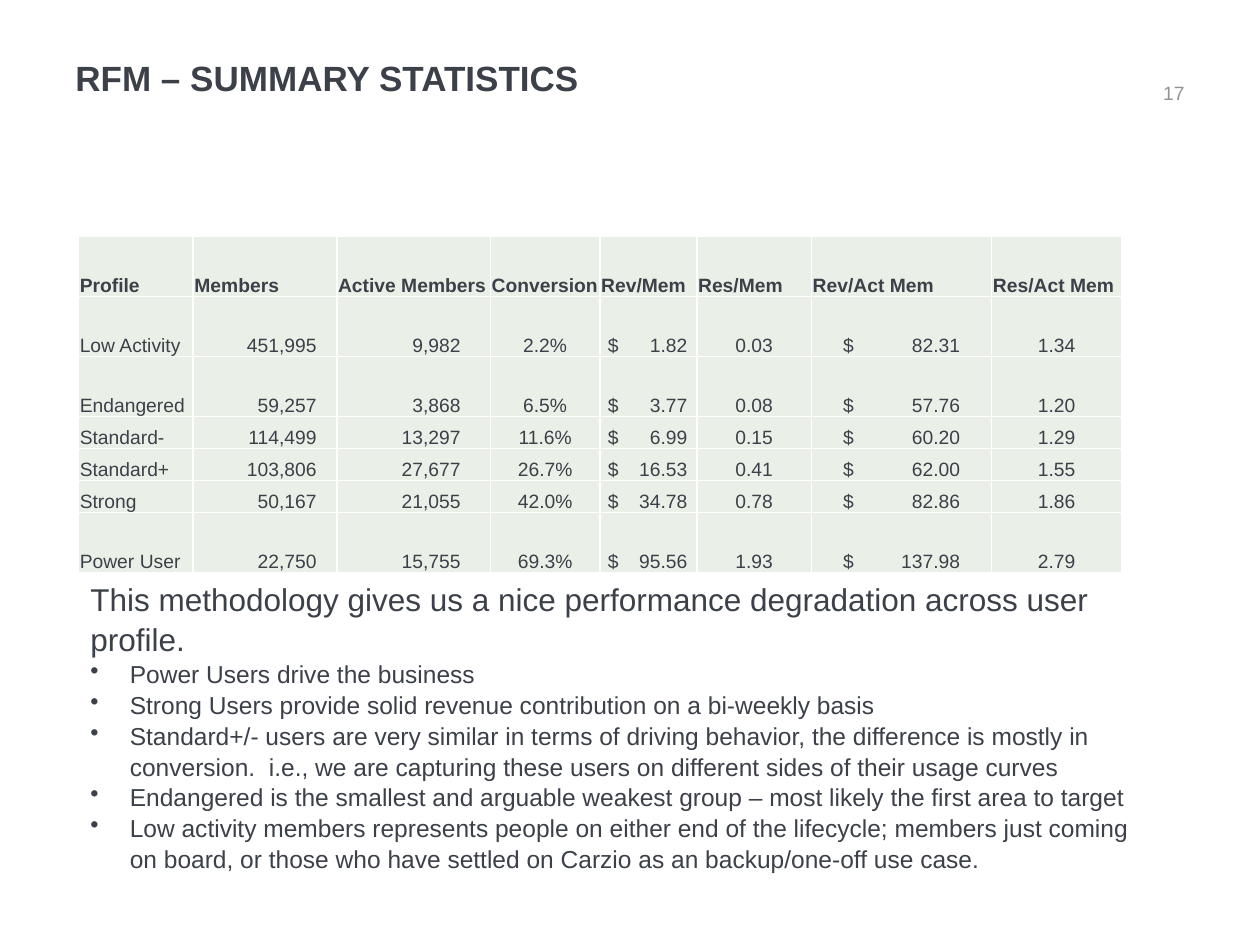
import pptx
import pptx.dml.color
import pptx.enum.text
import pptx.oxml
import pptx.oxml.ns
import pptx.util

Pt = pptx.util.Pt
ALIGN = pptx.enum.text.PP_ALIGN
ANCHOR = pptx.enum.text.MSO_ANCHOR
NS = pptx.oxml.ns.nsdecls("a")
INK = "3C4048"


def color(code):
    return pptx.dml.color.RGBColor.from_string(code)


def style(para, text, size, code=INK, bold=False):
    """Fill one paragraph and set its font."""
    para.text = text
    para.font.name = "Arial"
    para.font.size = Pt(size)
    para.font.bold = bold
    para.font.color.rgb = color(code)


deck = pptx.Presentation()
deck.slide_width, deck.slide_height = Pt(720), Pt(540)
slide = deck.slides.add_slide(deck.slide_layouts[6])

# Title and page number
for text, box, size, code, bold, align in [
    ("RFM – SUMMARY STATISTICS", (36, 9.4, 559.4, 50.4), 20, INK, True, ALIGN.LEFT),
    ("17", (653, 34.6, 31, 28.8), 11, "929395", False, ALIGN.RIGHT),
]:
    frame = slide.shapes.add_textbox(*map(Pt, box)).text_frame
    frame.word_wrap = True
    frame.vertical_anchor = ANCHOR.BOTTOM
    style(frame.paragraphs[0], text, size, code, bold)
    frame.paragraphs[0].alignment = align

# Statistics table
rows = [
    ("Profile", "Members", "Active Members", "Conversion", "Rev/Mem", "Res/Mem",
     "Rev/Act Mem", "Res/Act Mem"),
    ("Low Activity", "451,995", "9,982", "2.2%", "$\t1.82", "0.03", "$\t82.31", "1.34"),
    ("Endangered", "59,257", "3,868", "6.5%", "$\t3.77", "0.08", "$\t57.76", "1.20"),
    ("Standard-", "114,499", "13,297", "11.6%", "$\t6.99", "0.15", "$\t60.20", "1.29"),
    ("Standard+", "103,806", "27,677", "26.7%", "$\t16.53", "0.41", "$\t62.00", "1.55"),
    ("Strong", "50,167", "21,055", "42.0%", "$\t34.78", "0.78", "$\t82.86", "1.86"),
    ("Power User", "22,750", "15,755", "69.3%", "$\t95.56", "1.93", "$\t137.98", "2.79"),
]
widths = [65.5, 82.1, 87.8, 62.6, 55.4, 65.5, 103, 74.2]
heights = [34.3, 34.3, 34.3, 18.3, 18.3, 18.3, 34.3]
# Per column: alignment, left margin, right margin, right tab stop
plain = (ALIGN.CENTER, 0.7, 0.7, None)
rules = [
    (ALIGN.LEFT, 0.7, 0.7, None),
    (ALIGN.RIGHT, 0.7, 11.5, None),
    (ALIGN.RIGHT, 0.7, 17, None),
    plain,
    (ALIGN.LEFT, 4.5, 0.7, 45.5),
    plain,
    (ALIGN.LEFT, 18, 0.7, 67),
    plain,
]
table = slide.shapes.add_table(
    len(rows), len(widths), Pt(44.9), Pt(135), Pt(sum(widths)), Pt(sum(heights))
).table
for col, width in zip(table.columns, widths):
    col.width = Pt(width)
for y, (row, height) in enumerate(zip(rows, heights)):
    table.rows[y].height = Pt(height)
    for x, text in enumerate(row):
        align, left, right, tab = rules[x] if y else rules[0]
        cell = table.cell(y, x)
        cell.margin_left, cell.margin_right = Pt(left), Pt(right)
        cell.margin_top, cell.margin_bottom = Pt(0.7), Pt(0)
        cell.vertical_anchor = ANCHOR.BOTTOM
        para = cell.text_frame.paragraphs[0]
        style(para, text, 11, bold=y == 0)
        para.alignment = align
        if tab:
            props = para._p.get_or_add_pPr()
            props.insert(0, pptx.oxml.parse_xml(
                f'<a:tabLst {NS}><a:tab pos="{Pt(tab)}" algn="r"/></a:tabLst>'))
        for side in "LRTB":
            cell._tc.get_or_add_tcPr().append(pptx.oxml.parse_xml(
                f'<a:ln{side} {NS} w="{Pt(1)}"><a:solidFill>'
                f'<a:srgbClr val="FFFFFF"/></a:solidFill></a:ln{side}>'))
        cell.fill.solid()
        cell.fill.fore_color.rgb = color("EAF0E8")

# Findings
notes = [
    "This methodology gives us a nice performance degradation across user profile.",
    "Power Users drive the business",
    "Strong Users provide solid revenue contribution on a bi-weekly basis",
    "Standard+/- users are very similar in terms of driving behavior, the difference is "
    "mostly in conversion.  i.e., we are capturing these users on different sides of "
    "their usage curves",
    "Endangered is the smallest and arguable weakest group – most likely the first area "
    "to target",
    "Low activity members represents people on either end of the lifecycle; members just "
    "coming on board, or those who have settled on Carzio as an backup/one-off use case.",
]
frame = slide.shapes.add_textbox(Pt(44.6), Pt(326.9), Pt(608.4), Pt(191.5)).text_frame
frame.word_wrap = True
for i, text in enumerate(notes):
    para = frame.add_paragraph() if i else frame.paragraphs[0]
    style(para, text, 14 if i else 18)
    para.line_spacing = 1.05
    if i:
        props = para._p.get_or_add_pPr()
        props.set("marL", str(Pt(22.5)))
        props.set("indent", str(-Pt(22.5)))
        mark = pptx.oxml.parse_xml(f'<a:buChar {NS} char="•"/>')
        props.insert_element_before(mark, "a:tabLst", "a:defRPr", "a:extLst")

deck.save("out.pptx")
